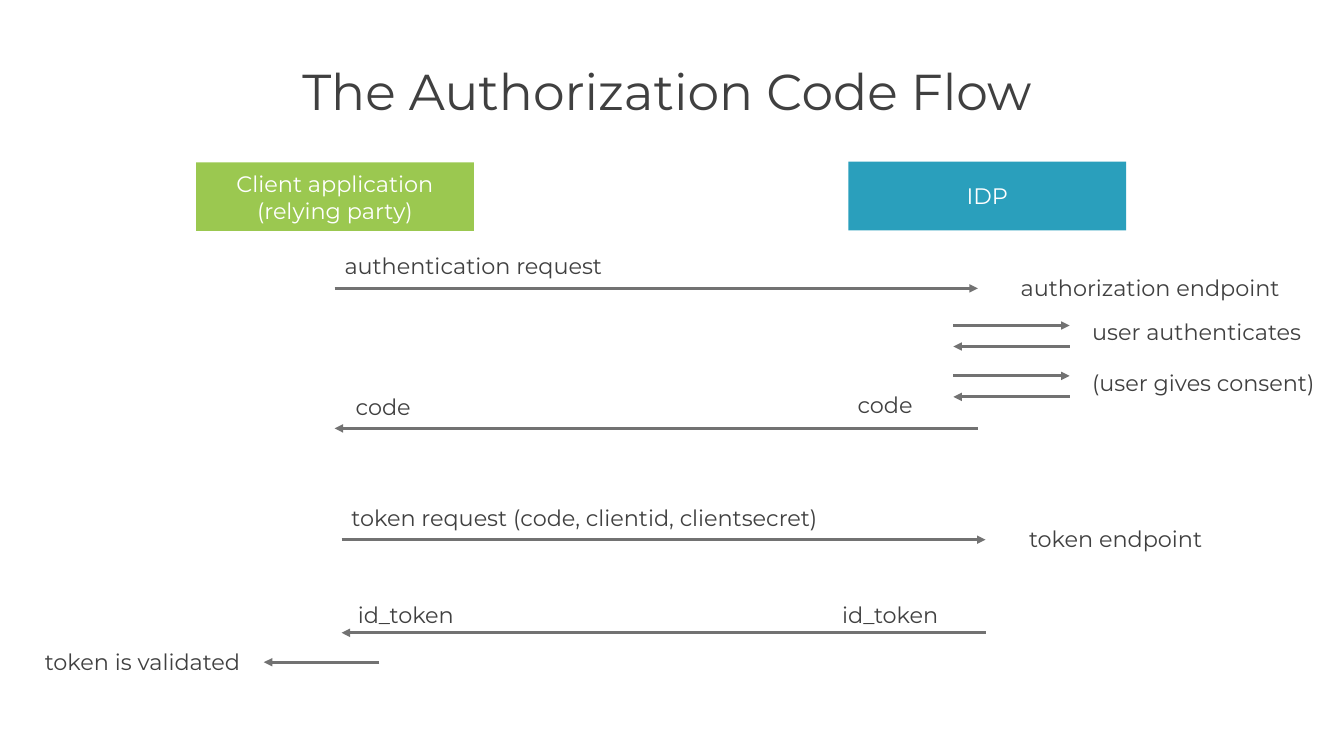
"""Builds a slide showing the messages of the authorization code flow."""
import pptx
import pptx.dml.color
import pptx.enum.shapes
import pptx.enum.text
import pptx.oxml
import pptx.util
from pptx.util import Pt

GREY, TEXT, WHITE = "727272", "404040", "FFFFFF"
MIDDLE = pptx.enum.text.MSO_ANCHOR.MIDDLE
CENTER = pptx.enum.text.PP_ALIGN.CENTER


def color(hex_code):
    return pptx.dml.color.RGBColor.from_string(hex_code)


def write(paragraph, wording, size, hex_code):
    run = paragraph.add_run()
    run.text = wording
    run.font.name = "Montserrat"
    run.font.size = Pt(size)
    run.font.color.rgb = color(hex_code)


presentation = pptx.Presentation()
presentation.slide_width, presentation.slide_height = Pt(960), Pt(540)
slide = presentation.slides.add_slide(presentation.slide_layouts[5])

title = slide.shapes.title
title.left, title.top, title.width, title.height = Pt(55.5), Pt(46), Pt(849), Pt(34.5)
heading = title.text_frame
heading.auto_size = pptx.enum.text.MSO_AUTO_SIZE.NONE
heading.vertical_anchor = pptx.enum.text.MSO_ANCHOR.TOP
heading.margin_left = 0
heading.paragraphs[0].alignment = CENTER
heading.paragraphs[0].line_spacing = 0.85
write(heading.paragraphs[0], "The Authorization Code Flow", 36, TEXT)

parties = [
    ("Client application (relying party)", 140, 116, "9BC850"),
    ("IDP", 606, 115.5, "2A9FBC"),
]
for wording, left, top, fill in parties:
    party = slide.shapes.add_shape(
        pptx.enum.shapes.MSO_SHAPE.RECTANGLE, Pt(left), Pt(top), Pt(198.5), Pt(49))
    party.shadow.inherit = False
    party.fill.solid()
    party.fill.fore_color.rgb = color(fill)
    party.line.fill.background()
    frame = party.text_frame
    frame.word_wrap = True
    frame.vertical_anchor = MIDDLE
    frame.margin_left = frame.margin_right = Pt(14.4)
    frame.margin_top = frame.margin_bottom = Pt(14.4)
    frame.paragraphs[0].alignment = CENTER
    write(frame.paragraphs[0], wording, 16, WHITE)

messages = [
    (239, 698.5, 206),
    (681, 764, 232.5),
    (764, 681, 247.5),
    (681, 764, 268.5),
    (764, 681, 283.5),
    (698.5, 239, 306),
    (244, 704, 385.5),
    (704, 244, 452),
    (271, 188.5, 473),
]
for sender, receiver, y in messages:
    message = slide.shapes.add_connector(
        pptx.enum.shapes.MSO_CONNECTOR.STRAIGHT, Pt(sender), Pt(y), Pt(receiver), Pt(y))
    message.line.color.rgb = color(GREY)
    message.line.width = Pt(2)
    namespace = pptx.oxml.ns.nsdecls("a")
    message.line._get_or_add_ln().append(
        pptx.oxml.parse_xml(f'<a:tailEnd {namespace} type="triangle"/>'))
    message._element.spPr.append(pptx.oxml.parse_xml(f"<a:effectLst {namespace}/>"))

labels = [
    ("authorization endpoint", 722, 192.5, 248.5),
    ("authentication request", 239, 176.5, 253),
    ("user authenticates", 773, 224, 248.5),
    ("(user gives consent)", 773, 260, 248.5),
    ("code", 605.5, 276, 57),
    ("code", 247, 277, 137.5),
    ("token endpoint", 728, 371.5, 248.5),
    ("token request (code, clientid, clientsecret)", 244, 356.5, 360),
    ("id_token", 594.5, 425.5, 94.5),
    ("id_token", 248.5, 425.5, 248.5),
    ("token is validated", 25, 459.5, 177),
]
for wording, left, top, width in labels:
    label = slide.shapes.add_textbox(Pt(left), Pt(top), Pt(width), Pt(26.6))
    label.text_frame.word_wrap = True
    label.text_frame.auto_size = pptx.enum.text.MSO_AUTO_SIZE.SHAPE_TO_FIT_TEXT
    write(label.text_frame.paragraphs[0], wording, 16, TEXT)

presentation.save("out.pptx")
